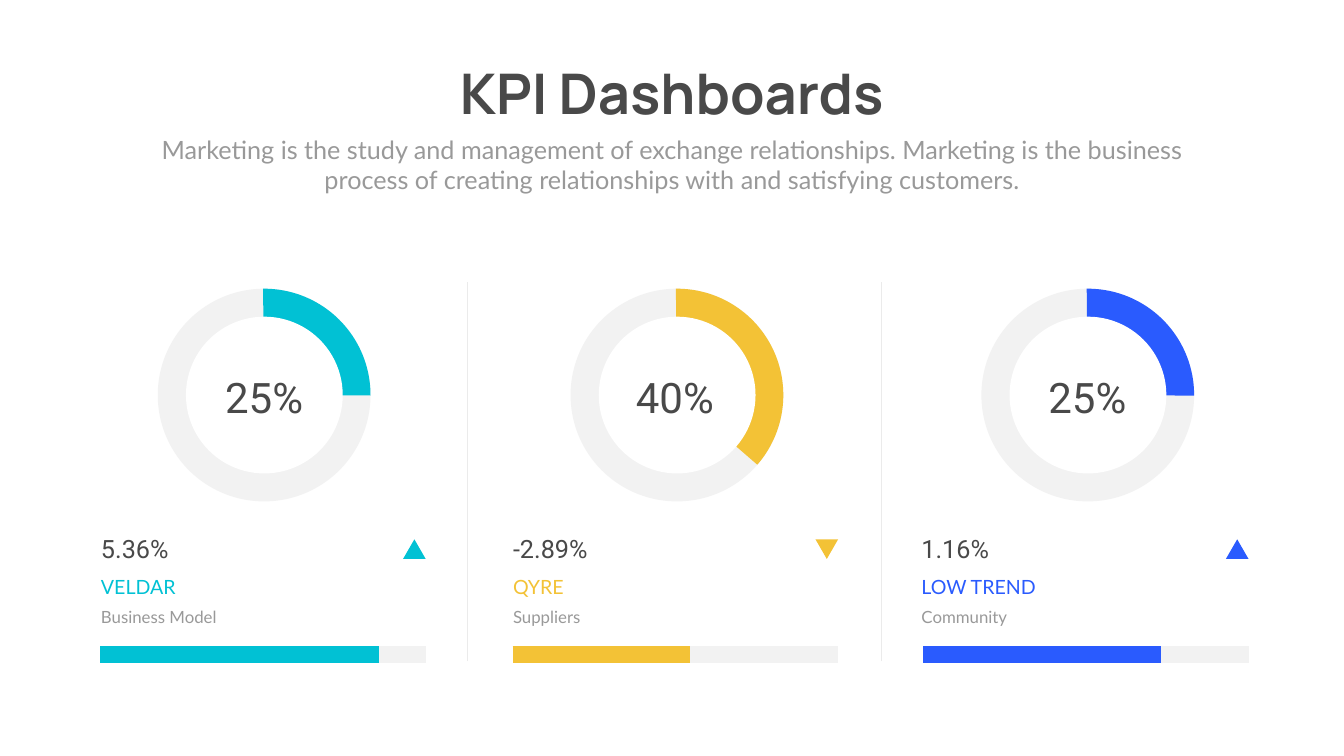
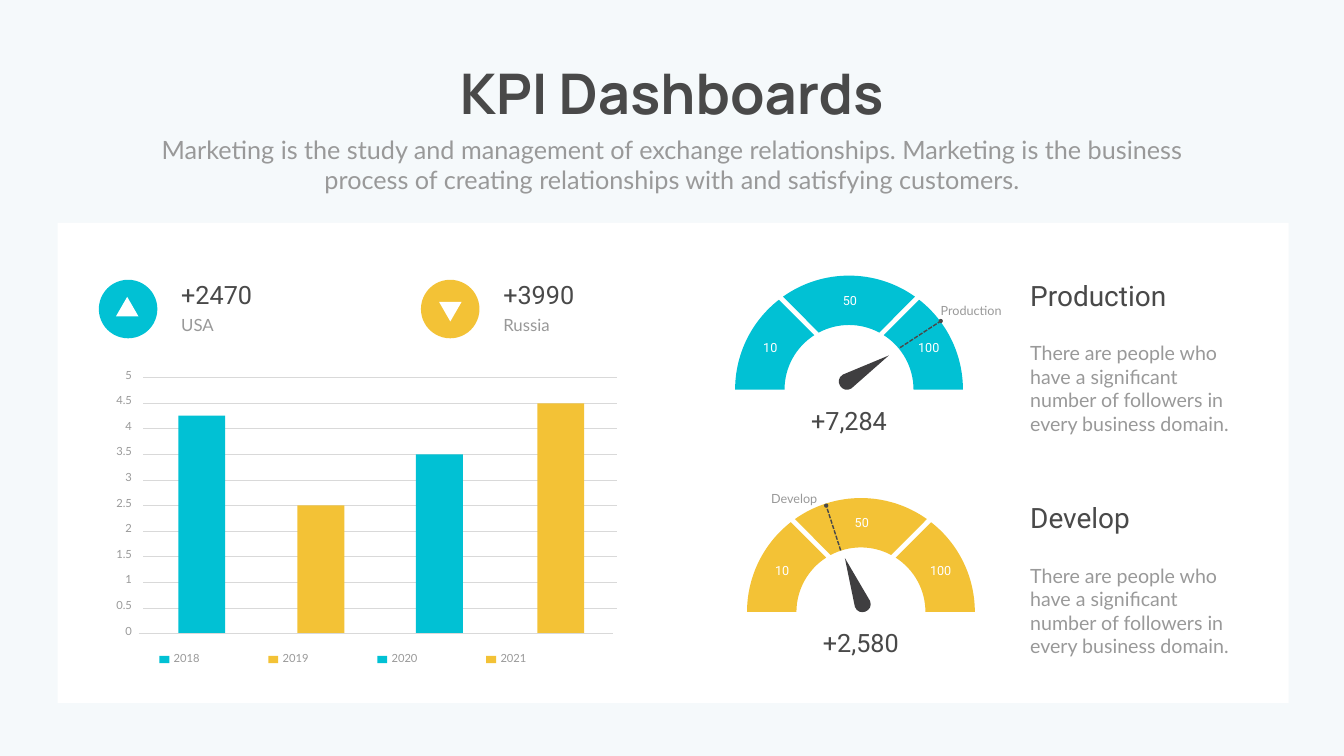
import math

from lxml import etree
from pptx import Presentation
from pptx.dml.color import RGBColor
from pptx.enum import dml, shapes, text
from pptx.oxml.ns import qn
from pptx.util import Cm, Pt

WHITE = RGBColor(0xFF, 0xFF, 0xFF)
PALE = RGBColor(0xF5, 0xF9, 0xFB)
TRACK = RGBColor(0xF2, 0xF2, 0xF2)
SEPARATOR = RGBColor(0xEB, 0xEB, 0xEB)
GRID = RGBColor(0xD9, 0xD9, 0xD9)
DARK = RGBColor(0x49, 0x49, 0x49)
NEEDLE = RGBColor(0x3F, 0x3E, 0x40)
GREY = RGBColor(0x99, 0x99, 0x99)
CYAN = RGBColor(0x01, 0xC1, 0xD4)
YELLOW = RGBColor(0xF3, 0xC2, 0x36)
BLUE = RGBColor(0x2A, 0x5B, 0xFE)

LEFT, CENTER, RIGHT = text.PP_ALIGN.LEFT, text.PP_ALIGN.CENTER, text.PP_ALIGN.RIGHT
SHAPE = shapes.MSO_SHAPE
SLIDE_WIDTH, SLIDE_HEIGHT = 67.72, 38.1

TITLE = "KPI Dashboards"
SUBTITLE = ("Marketing is the study and management of exchange relationships. "
            "Marketing is the business process of creating relationships with "
            "and satisfying customers.")
FOLLOWERS = ("There are people who have a significant number of followers "
             "in every business domain.")


def box(left, top, width, height):
    return Cm(left), Cm(top), Cm(width), Cm(height)


def write(shape, words, size, font, color, align=LEFT, bold=False, spacing=None):
    """Put one formatted paragraph into a shape."""
    frame = shape.text_frame
    frame.text = words
    frame.vertical_anchor = text.MSO_ANCHOR.TOP
    paragraph = frame.paragraphs[0]
    paragraph.alignment = align
    if spacing:
        paragraph.line_spacing = Pt(spacing)
    run_font = paragraph.runs[0].font
    run_font.size, run_font.name, run_font.bold = Pt(size), font, bold
    run_font.color.rgb = color


def add_text(slide, place, *style, **options):
    shape = slide.shapes.add_textbox(*box(*place))
    shape.text_frame.word_wrap = True
    write(shape, *style, **options)


def paint(shape, color):
    shape.shadow.inherit = False
    shape.fill.solid()
    shape.fill.fore_color.rgb = color
    shape.line.fill.background()


def add_filled(slide, kind, place, color):
    shape = slide.shapes.add_shape(kind, *box(*place))
    paint(shape, color)
    return shape


def add_pie(slide, place, start, end, color):
    """Add a pie running clockwise between two angles in degrees."""
    shape = add_filled(slide, SHAPE.PIE, place, color)
    # Angles are stored in 1/60000 degree, adjustments in 1/100000
    shape.adjustments[0] = start * 0.6
    shape.adjustments[1] = end * 0.6


def add_arrow_mark(slide, left, top, color, up):
    mark = add_filled(slide, SHAPE.ISOSCELES_TRIANGLE, (left, top, 1.14, 0.99), color)
    mark.rotation = 0 if up else 180


def add_line(slide, start, end, color, width, dotted_to_oval=False):
    line = slide.shapes.add_connector(
        shapes.MSO_CONNECTOR.STRAIGHT, Cm(start[0]), Cm(start[1]), Cm(end[0]), Cm(end[1]))
    line.line.color.rgb = color
    line.line.width = Pt(width)
    properties = line.element.spPr
    if dotted_to_oval:
        line.line.dash_style = dml.MSO_LINE.SQUARE_DOT
        etree.SubElement(properties.find(qn("a:ln")), qn("a:tailEnd"), type="oval")
    etree.SubElement(properties, qn("a:effectLst"))


def on_circle(center, radius, degrees):
    """Point on a circle; the angle runs counter-clockwise from the right."""
    angle = math.radians(degrees)
    return center[0] + radius * math.cos(angle), center[1] - radius * math.sin(angle)


def curve(center, radius, start, end):
    """The two control points and the end of a Bezier curve along an arc."""
    sweep = math.radians(end - start)
    bulge = 4 / 3 * math.tan(sweep / 4)
    reach = radius * math.hypot(1, bulge)
    turn = math.degrees(math.atan(bulge))
    return [on_circle(center, reach, start + turn), on_circle(center, reach, end - turn),
            on_circle(center, radius, end)]


def add_curved_outline(slide, arcs, color):
    """Join arcs (center, radius, start, end) by straight lines into a closed outline."""
    points = [on_circle(center, radius, angle) for center, radius, start, end in arcs
              for angle in (start, (start + end) / 2, end)]
    points = [(Cm(x), Cm(y)) for x, y in points]
    builder = slide.shapes.build_freeform(*points[0], scale=1.0)
    builder.add_line_segments(points[1:], close=True)
    shape = builder.convert_to_shape()
    paint(shape, color)

    outline = shape.element.find(".//" + qn("a:path"))
    for step in list(outline):
        outline.remove(step)

    def add_step(tag, step_points):
        step = etree.SubElement(outline, qn(f"a:{tag}"))
        for x, y in step_points:
            etree.SubElement(step, qn("a:pt"), x=str(Cm(x) - shape.left),
                             y=str(Cm(y) - shape.top))

    for i, (center, radius, start, end) in enumerate(arcs):
        add_step("lnTo" if i else "moveTo", [on_circle(center, radius, start)])
        if start != end:
            add_step("cubicBezTo", curve(center, radius, start, end))
    add_step("close", [])


def add_heading(slide):
    title = slide.shapes.title
    title.left, title.top, title.width, title.height = box(22.02, 2.84, 23.67, 3.68)
    write(title, TITLE, 80, "Manrope", DARK, CENTER, bold=True)
    title.text_frame.word_wrap = False
    title.text_frame.auto_size = text.MSO_AUTO_SIZE.NONE
    add_text(slide, (7.42, 6.63, 52.88, 3.33), SUBTITLE, 36, "Lato", GREY, CENTER)


def add_ring(slide, left, end_angle, percent_left, percent, color):
    top, size = 14.55, 10.72
    add_pie(slide, (left, top, size, size), 269.94, 269.88, TRACK)
    add_pie(slide, (left, top, size, size), 269.44, end_angle, color)
    add_filled(slide, SHAPE.OVAL, (left + 1.42, top + 1.41, 7.9, 7.9), WHITE)
    add_text(slide, (percent_left, 18.59, 9.19, 2.82), percent, 60, "Roboto", DARK, CENTER)


def add_progress(slide, left, share, color):
    y, length = 32.98, 16.4
    add_line(slide, (left, y), (left + length, y), TRACK, 25)
    add_line(slide, (left, y), (left + length * share, y), color, 25)


def add_caption(slide, left, width, change, name, group, color):
    add_text(slide, (left, 26.77, 5.18, 1.8), change, 36, "Roboto", DARK)
    add_text(slide, (left, 28.6, width, 1.57), name, 28, "Lato", color, spacing=40.8)
    add_text(slide, (left, 30.02, width, 1.52), group, 24, "Lato", GREY, spacing=40.8)


def add_country(slide, left, value, country, color, up):
    add_filled(slide, SHAPE.OVAL, (left, 14.1, 2.95, 2.95), color)
    mark_left, mark_top = (left + 0.86, 14.96) if up else (left + 0.91, 15.21)
    add_arrow_mark(slide, mark_left, mark_top, WHITE, up)
    add_text(slide, (left + 3.9, 13.94, 8.79, 1.8), value, 36, "Roboto", DARK)
    add_text(slide, (left + 3.9, 15.75, 8.79, 1.27), country, 24, "Lato", GREY)


def add_gauge(slide, center, name, value, color, needle, marker, label):
    """Add a half-ring gauge; offsets in needle, marker and label are from its center."""
    x, y = center
    dx, dy, align = label
    add_text(slide, (x + dx, y + dy, 3.94, 1.5), name, 18, "Lato", GREY, align, spacing=40.8)

    segments = [(128, 180, 180, 122.6), (0, 52, 57.4, 0), (54.6, 125.4, 118, 62)]
    for outer_start, outer_end, inner_start, inner_end in segments:
        add_curved_outline(slide, [(center, 5.74, outer_start, outer_end),
                                   (center, 3.25, inner_start, inner_end)], color)

    shift, angle = needle
    pivot = (x + shift, y - 0.4)
    add_curved_outline(slide, [(pivot, 2.48, angle, angle),
                               (pivot, 0.41, angle + 90, angle + 270)], NEEDLE)
    start, end = [(x + dx, y + dy) for dx, dy in marker]
    add_line(slide, start, end, DARK, 2, dotted_to_oval=True)

    add_text(slide, (x - 2.59, y + 0.67, 5.18, 1.8), value, 36, "Roboto", DARK, CENTER)
    for words, dx, dy, width in [("10", -4.7, -2.62, 1.47), ("50", -0.69, -5, 1.47),
                                 ("100", 2.79, -2.62, 2.46)]:
        add_text(slide, (x + dx, y + dy, width, 1.02), words, 18, "Roboto", WHITE, CENTER)
    add_text(slide, (51.66, y - 2.57, 11, 5.05), FOLLOWERS, 28, "Lato", GREY)
    add_text(slide, (51.66, y - 5.73, 11, 1.96), name, 40, "Roboto", DARK)


def add_year_bars(slide):
    top, step, baseline = 19.02, 1.29, 31.9
    for i in range(11):
        value = 5 - i / 2
        y = top + i * step
        left = 7.21 if value else 6.99
        add_line(slide, (left, y), (left + 23.88, y), GRID, 0.5)
        width = 1.8 if value == int(value) else 2.41
        add_text(slide, (6.9 - width, y - 0.6, width, 1.19), f"{value:g}",
                 16, "Lato", GREY, RIGHT)

    bars = [("2018", 8.99, 4.26, CYAN), ("2019", 14.99, 2.5, YELLOW),
            ("2020", 20.96, 3.5, CYAN), ("2021", 27.08, 4.5, YELLOW)]
    for i, (year, left, value, color) in enumerate(bars):
        height = value * 2 * step - value * 0.01
        add_filled(slide, SHAPE.RECTANGLE, (left, baseline - height, 2.36, height), color)
        key_left = 8.03 + 5.49 * i
        add_filled(slide, SHAPE.RECTANGLE, (key_left, 33.06, 0.5, 0.36), color)
        add_text(slide, (key_left + 0.47, 32.69, 3.33, 1.19), year, 16, "Lato", GREY)


def build_index_slide(slide):
    rings = [(7.95, 0.25, 8.71, "25%", CYAN), (28.75, 40.92, 29.41, "40%", YELLOW),
             (49.45, 0.3, 50.19, "25%", BLUE)]
    for ring in rings:
        add_ring(slide, *ring)
    add_heading(slide)
    for left, share, color, up in [(5.05, 0.855, CYAN, True), (25.83, 0.545, YELLOW, False),
                                   (46.51, 0.73, BLUE, True)]:
        add_progress(slide, left, share, color)
        add_arrow_mark(slide, left + 15.26, 27.18, color, up)
    captions = [(4.84, 7.44, "5.36%", "VELDAR", "Business Model", CYAN),
                (25.6, 5.18, "-2.89%", "QYRE", "Suppliers", YELLOW),
                (46.18, 6.48, "1.16%", "LOW TREND", "Community", BLUE)]
    for caption in captions:
        add_caption(slide, *caption)
    for x in (23.57, 44.42):
        add_line(slide, (x, 33.32), (x, 14.2), SEPARATOR, 2)


def build_gauge_slide(slide):
    add_filled(slide, SHAPE.RECTANGLE, (0, 0, SLIDE_WIDTH, SLIDE_HEIGHT), PALE)
    add_filled(slide, SHAPE.RECTANGLE, (2.9, 11.23, 62.03, 24.2), WHITE)
    title = slide.shapes.title.element
    title.getparent().append(title)
    add_heading(slide)
    add_country(slide, 4.98, "+2470", "USA", CYAN, up=True)
    add_country(slide, 21.21, "+3990", "Russia", YELLOW, up=False)
    add_gauge(slide, (42.78, 19.63), "Production", "+7,284", CYAN, needle=(-0.1, 32),
              marker=[(2.57, -2.11), (4.62, -3.45)], label=(4.37, -5.16, LEFT))
    add_gauge(slide, (43.38, 30.84), "Develop", "+2,580", YELLOW, needle=(0.08, 111),
              marker=[(-1.02, -3.1), (-1.75, -5.36)], label=(-5.89, -6.88, RIGHT))
    add_year_bars(slide)


def main():
    presentation = Presentation()
    presentation.slide_width, presentation.slide_height = Cm(SLIDE_WIDTH), Cm(SLIDE_HEIGHT)
    title_only = presentation.slide_layouts[5]
    for build in (build_index_slide, build_gauge_slide):
        build(presentation.slides.add_slide(title_only))
    presentation.save("out.pptx")


if __name__ == "__main__":
    main()
